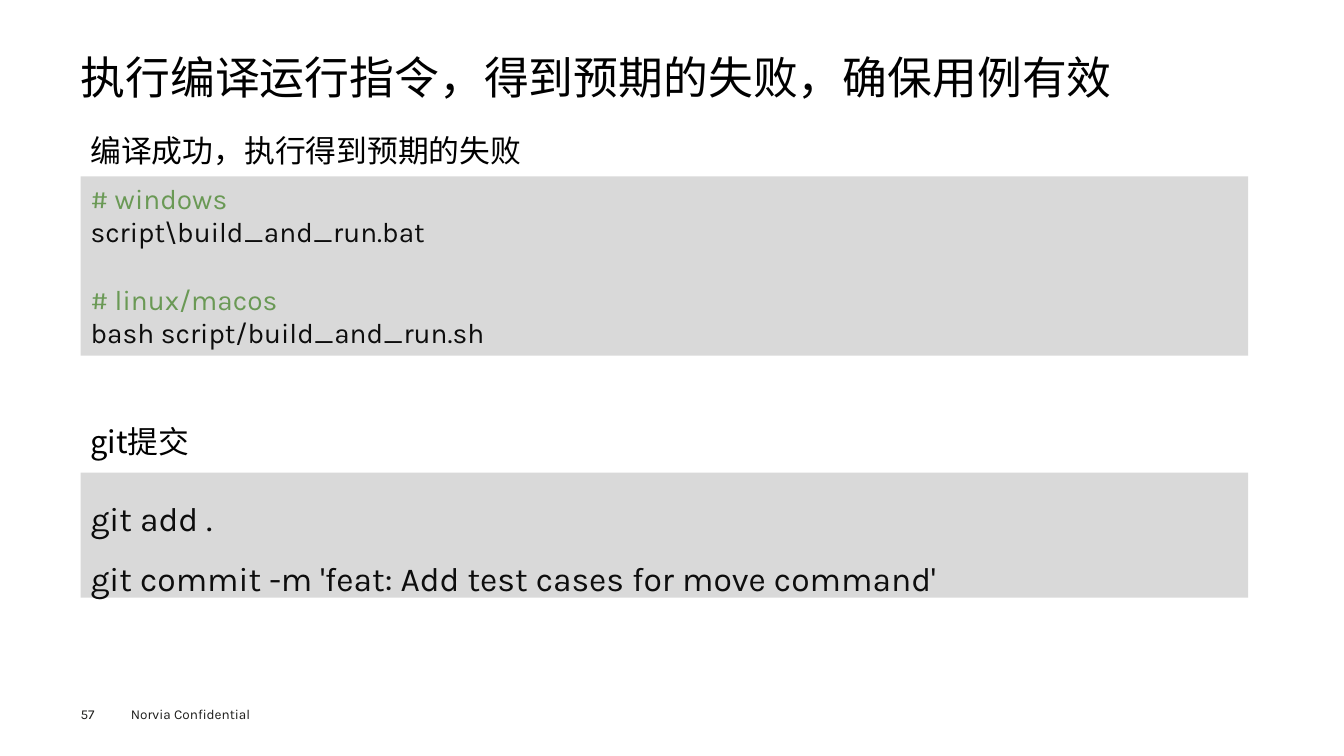
"""Build the slide on running the build and committing the failing test."""
from dataclasses import dataclass

from lxml.etree import SubElement
from pptx import Presentation
from pptx.dml.color import RGBColor
from pptx.enum.shapes import MSO_SHAPE
from pptx.enum.text import MSO_ANCHOR, MSO_AUTO_SIZE, PP_ALIGN
from pptx.oxml.ns import qn
from pptx.shapes.autoshape import Shape
from pptx.slide import Slide
from pptx.util import Inches, Pt

BLACK = RGBColor(0x00, 0x00, 0x00)
INK = RGBColor(0x1D, 0x1D, 0x1B)
CODE = RGBColor(0x0D, 0x0D, 0x0D)
COMMENT = RGBColor(0x6A, 0x99, 0x55)
PANEL = RGBColor(0xD9, 0xD9, 0xD9)
LATIN = "Karla"
CHINESE = "Noto Sans CJK SC"
SLIDE_WIDTH = Inches(13.33)
SLIDE_HEIGHT = Inches(7.5)
MARGIN = 6


@dataclass(frozen=True)
class Area:
    """Place and size in percent of the slide."""
    left: float
    top: float
    width: float
    height: float

    def box(self) -> tuple[int, int, int, int]:
        """Return left, top, width and height as lengths."""
        return (round(SLIDE_WIDTH * self.left / 100), round(SLIDE_HEIGHT * self.top / 100),
                round(SLIDE_WIDTH * self.width / 100), round(SLIDE_HEIGHT * self.height / 100))


@dataclass(frozen=True)
class Style:
    """Look of a block of text."""
    size: float
    color: RGBColor
    font: str = LATIN
    line_spacing: float = 1.0
    inset: bool = True
    anchor: MSO_ANCHOR = MSO_ANCHOR.TOP


@dataclass(frozen=True)
class Label:
    """Plain text on the slide."""
    text: str
    area: Area
    style: Style


@dataclass(frozen=True)
class CodePanel:
    """Commands on a grey panel."""
    lines: tuple[str, ...]
    area: Area
    style: Style


TITLE = Label("执行编译运行指令，得到预期的失败，确保用例有效", Area(MARGIN, 6.53, 88, 7.2),
              Style(32, BLACK, line_spacing=0.9, inset=False, anchor=MSO_ANCHOR.BOTTOM))
HEADING = Style(22, BLACK, CHINESE, 1.5)
LABELS = (
    Label("编译成功，执行得到预期的失败", Area(MARGIN, 14.27, 42, 8), HEADING),
    Label("git提交", Area(MARGIN, 52.8, 42, 8), HEADING),
    Label("57", Area(MARGIN, 93.33, 4.13, 2.13), Style(9.7, INK, inset=False)),
    Label("Norvia Confidential", Area(9, 92.67, 12, 3.6), Style(9.7, INK)),
)
PANELS = (
    CodePanel(("# windows", "script\\build_and_run.bat",
               "# linux/macos", "bash script/build_and_run.sh"),
              Area(MARGIN, 23.33, 86.87, 23.73), Style(20, CODE)),
    CodePanel(("git add .", "git commit -m 'feat: Add test cases for move command'"),
              Area(MARGIN, 62.53, 86.87, 16.53), Style(24, CODE, line_spacing=1.5)),
)


def write(holder: Shape, text: str, style: Style) -> None:
    """Fill a shape with text in the given style."""
    frame = holder.text_frame
    frame.text = text
    frame.word_wrap = True
    frame.auto_size = MSO_AUTO_SIZE.NONE
    frame.vertical_anchor = style.anchor
    if not style.inset:
        frame.margin_left = frame.margin_top = frame.margin_right = frame.margin_bottom = 0
    for index, paragraph in enumerate(frame.paragraphs):
        paragraph.alignment = PP_ALIGN.LEFT
        paragraph.line_spacing = style.line_spacing
        for run in paragraph.runs:
            is_comment = run.text.startswith("#")
            run.font.size = Pt(style.size)
            run.font.name = style.font
            run.font.color.rgb = COMMENT if is_comment else style.color
            SubElement(run.font._element, qn("a:ea"), typeface=CHINESE)
            if is_comment and index:
                paragraph.space_before = Pt(style.size * 1.2)


def add_label(slide: Slide, label: Label) -> None:
    """Add one text box."""
    write(slide.shapes.add_textbox(*label.area.box()), label.text, label.style)


def add_panel(slide: Slide, panel: CodePanel) -> None:
    """Add one grey panel with its commands."""
    backdrop = slide.shapes.add_shape(MSO_SHAPE.RECTANGLE, *panel.area.box())
    backdrop.shadow.inherit = False
    backdrop.fill.solid()
    backdrop.fill.fore_color.rgb = PANEL
    backdrop.line.fill.background()
    write(backdrop, "\n".join(panel.lines), panel.style)


def main() -> None:
    """Build and save the slide."""
    deck = Presentation()
    deck.slide_width, deck.slide_height = SLIDE_WIDTH, SLIDE_HEIGHT
    slide = deck.slides.add_slide(deck.slide_layouts[5])
    heading = slide.shapes.title
    heading.left, heading.top, heading.width, heading.height = TITLE.area.box()
    write(heading, TITLE.text, TITLE.style)
    for panel in PANELS:
        add_panel(slide, panel)
    for label in LABELS:
        add_label(slide, label)
    deck.save("out.pptx")


if __name__ == "__main__":
    main()
